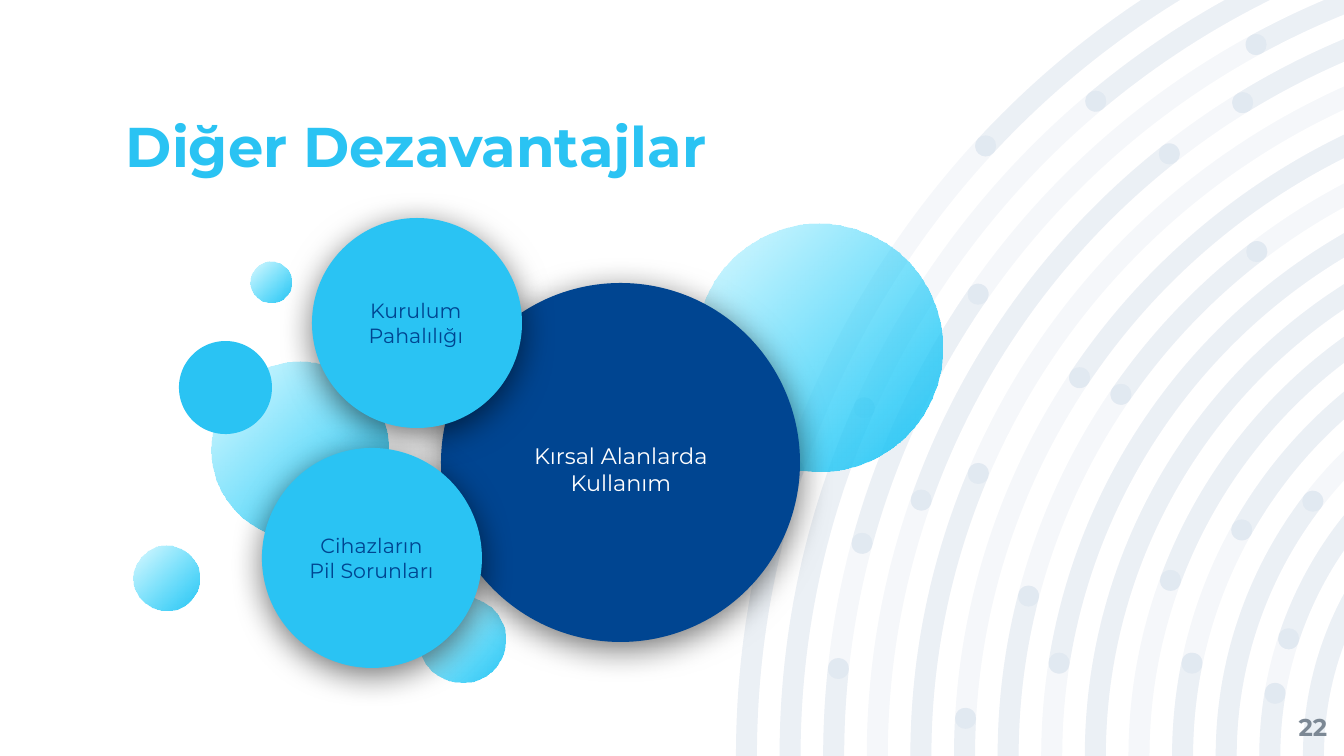
from dataclasses import dataclass
from itertools import chain
from math import acos, asin, cos, degrees, dist, radians, sin, tan

from lxml.etree import SubElement
from pptx import Presentation
from pptx.dml.color import RGBColor as Rgb
from pptx.enum.shapes import MSO_SHAPE as Shape
from pptx.enum.text import MSO_ANCHOR as Anchor, PP_ALIGN as Align
from pptx.oxml import parse_xml
from pptx.oxml.ns import nsdecls, qn
from pptx.util import Emu, Pt

WIDE, HIGH = 1344, 756
SCALE = 9144000 / WIDE


def px(n):
    return Emu(round(n * SCALE))


@dataclass(frozen=True)
class Theme:
    font: str = "Montserrat"
    sky: str = "2AC3F3"
    glow: str = "00D0FF"
    navy: str = "004591"
    white: str = "FFFFFF"
    grey: str = "7C8894"
    black: str = "000000"
    title: int = 30
    page: int = 13
    large: int = 12
    small: int = 11


# Ring geometry: concentric bands around a point right of the slide
CX, CY = 1644, HIGH
FIRST, LAST, COUNT, BAND = 908, 341, 14, 21
GAP = (FIRST - LAST) / (COUNT - 1)
HALF = BAND / 2
EDGE = 90

# Highlighted spans per band in degrees; 0 is the slide bottom, EDGE its border
SPANS = {
    0: [(0, 18.62), (42.82, EDGE)],
    1: [(0, 24.06), (50.06, EDGE)],
    2: [(0, 6.19), (15.21, 34.74), (61.4, EDGE)],
    3: [(19.49, 51.75), (58.44, EDGE)],
    4: [(0, 22.99)],
    5: [(0, 3.17), (33.83, EDGE)],
    6: [(0, 14.56), (34.66, 52.49)],
    7: [(9.01, EDGE)],
    8: [(0, EDGE)],
    9: [(20.34, EDGE)],
    10: [(0, 11.6), (29.33, EDGE)],
    11: [(0, 37.57)],
    12: [(0, 9.63), (18.24, EDGE)],
    13: [(0, EDGE)],
}


def arc(x, y, r, a, b):
    """Bezier points from angle a to b, measured clockwise from the left."""
    a, b = radians(a), radians(b)
    k = 4 / 3 * tan((b - a) / 4)
    return [(x - r * (cos(t) - s * sin(t)), y - r * (sin(t) + s * cos(t)))
            for t, s in ((a, 0), (a, k), (b, -k), (b, 0))]


def join(parts):
    """Chain curves, with a straight step wherever two do not meet."""
    pts = list(parts[0])
    for part in parts[1:]:
        if dist(pts[-1], part[0]) > 1:
            pts += [pts[-1], part[0], part[0]]
        pts += part[1:]
    return pts


def middle(i):
    return FIRST - i * GAP - HALF


def spot(i, a):
    t = radians(a)
    return CX - middle(i) * cos(t), CY - middle(i) * sin(t)


def dot(i, a):
    x, y = spot(i, a)
    return join([arc(x, y, HALF, 0, 180), arc(x, y, HALF, 180, 360)])


def strip(i, a, b):
    """Outline of one band, with a round cap at each end inside the slide."""
    def side(r):
        end = b
        if b == EDGE:
            end = degrees(min(acos((CX - WIDE) / r), asin(min(1, CY / r))))
        return arc(CX, CY, r, a, end)

    outer, inner = side(middle(i) + HALF), side(middle(i) - HALF)
    parts = [outer]
    if b != EDGE:
        parts.append(arc(*spot(i, b), HALF, b, b + 180))
    elif outer[-1][0] < WIDE - 1 and inner[-1][1] > 1:
        parts.append([(WIDE, 0)])
    parts.append(inner[::-1])
    if a:
        parts.append(arc(*spot(i, a), HALF, a + 180, a + 360))
    return join(parts)


class Deck:
    def __init__(self, theme):
        self.look = theme
        self.prs = Presentation()
        self.prs.slide_width, self.prs.slide_height = px(WIDE), px(HIGH)
        self.slide = self.prs.slides.add_slide(self.prs.slide_layouts[6])

    def paint(self, shape, color):
        shape.shadow.inherit = False
        shape.line.fill.background()
        shape.fill.solid()
        shape.fill.fore_color.rgb = Rgb.from_string(color)

    def trace(self, loops, color, alpha):
        """One translucent freeform made of several closed curves."""
        form = None
        for loop in loops:
            pts = [(px(x), px(y)) for x, y in loop]
            if form is None:
                form = self.slide.shapes.build_freeform(*pts[0])
            else:
                form.move_to(*pts[0])
            form.add_line_segments(pts[1:], close=True)
        shape = form.convert_to_shape()
        self.paint(shape, color)
        tint = shape._element.spPr.find(qn("a:solidFill"))[0]
        SubElement(tint, qn("a:alpha"), val=str(alpha * 1000))
        # Each three line steps become one Bezier curve
        steps = list(shape._element.iter(qn("a:lnTo")))
        for i in range(0, len(steps), 3):
            curve = parse_xml(f'<a:cubicBezTo {nsdecls("a")}/>')
            steps[i].addprevious(curve)
            for step in steps[i:i + 3]:
                curve.append(step[0])
                step.getparent().remove(step)

    def disc(self, x, y, size, color):
        shape = self.slide.shapes.add_shape(
            Shape.OVAL, px(x), px(y), px(size), px(size))
        self.paint(shape, color)
        return shape

    def blur(self, shape):
        """Soft shadow below a disc."""
        shape._element.spPr.find(qn("a:effectLst")).append(parse_xml(
            f'<a:outerShdw {nsdecls("a")} blurRad="{Pt(18)}" dist="{Pt(4)}" '
            'dir="5400000" algn="bl" rotWithShape="0">'
            f'<a:srgbClr val="{self.look.black}"><a:alpha val="55000"/>'
            '</a:srgbClr></a:outerShdw>'))

    def fade(self, shape):
        """Radial gradient from the bottom right corner."""
        old = shape._element.spPr.find(qn("a:solidFill"))
        old.getparent().replace(old, parse_xml(
            f'<a:gradFill {nsdecls("a")} rotWithShape="0"><a:gsLst>'
            f'<a:gs pos="0"><a:srgbClr val="{self.look.sky}"/></a:gs>'
            f'<a:gs pos="100000"><a:srgbClr val="{self.look.glow}">'
            '<a:alpha val="12000"/></a:srgbClr></a:gs></a:gsLst>'
            '<a:path path="circle"><a:fillToRect l="100000" t="100000"/>'
            '</a:path></a:gradFill>'))

    def text(self, box, words, size, color, align=Align.LEFT,
             anchor=Anchor.MIDDLE, bold=False, pad=0, lead=None):
        frame = self.slide.shapes.add_textbox(*map(px, box)).text_frame
        frame.word_wrap = True
        frame.vertical_anchor = anchor
        frame.margin_left = frame.margin_right = px(pad)
        frame.margin_top = frame.margin_bottom = px(pad)
        para = frame.paragraphs[0]
        para.text, para.alignment, para.line_spacing = words, align, lead
        font = para.font
        font.name, font.size, font.bold = self.look.font, Pt(size), bold
        font.color.rgb = Rgb.from_string(color)


def main():
    look = Theme()
    deck = Deck(look)

    # Background rings, highlighted spans and end dots
    spans = [strip(i, a, b) for i, row in SPANS.items() for a, b in row]
    dots = [dot(i, a) for i, row in SPANS.items()
            for a in chain(*row) if a not in (0, EDGE)]
    rings = [strip(i, 0, EDGE) for i in range(COUNT)]
    for loops in (rings, spans, dots):
        deck.trace(loops, look.navy, 4)

    # Title and page number
    deck.text((126, 122, 1093, 58), "Diğer Dezavantajlar", look.title,
              look.sky, anchor=Anchor.BOTTOM, bold=True, lead=0.9)
    deck.text((1246, 698, 81, 58), "22", look.page, look.grey,
              Align.RIGHT, bold=True)

    # Small bubbles
    for x, y, size, plain in (
            (419, 597, 86, False), (134, 546, 65, False),
            (212, 362, 176, False), (695, 224, 247, False),
            (179, 341, 93, True), (251, 262, 41, False)):
        shape = deck.disc(x, y, size, look.sky)
        shape.rotation = 250
        if not plain:
            deck.fade(shape)

    # Labelled bubbles
    for disc, fill, box, words, size, ink in (
            ((441, 283, 359), look.navy, (484, 384, 274, 171),
             "Kırsal Alanlarda Kullanım", look.large, look.white),
            ((312, 218, 210), look.sky, (345, 254, 142, 138),
             "Kurulum Pahalılığı", look.small, look.navy),
            ((262, 448, 220), look.sky, (293, 489, 157, 138),
             "Cihazların Pil Sorunları", look.small, look.navy)):
        deck.blur(deck.disc(*disc, fill))
        deck.text(box, words, size, ink, Align.CENTER, pad=13)

    deck.prs.save("out.pptx")


if __name__ == "__main__":
    main()
